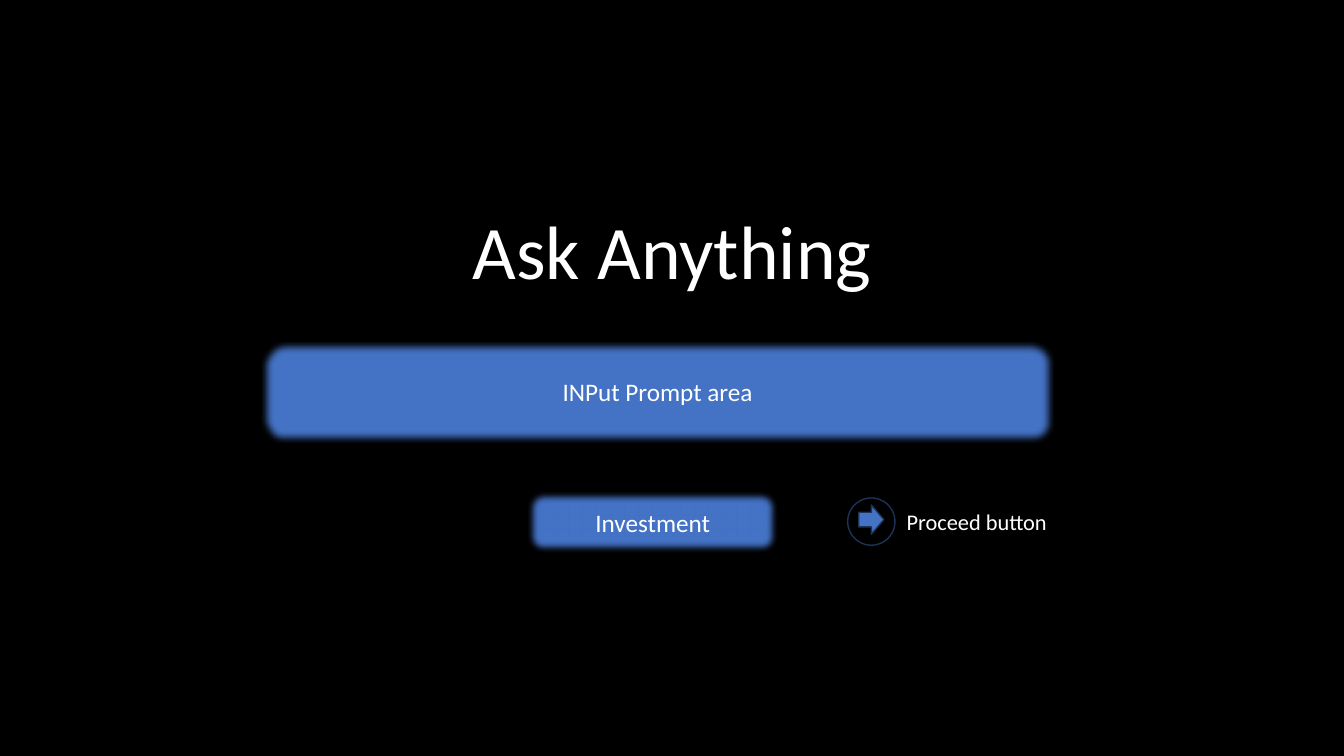
from lxml import etree
from pptx import Presentation
from pptx.dml.color import RGBColor
from pptx.enum.shapes import MSO_SHAPE
from pptx.enum.text import MSO_ANCHOR, PP_ALIGN
from pptx.oxml.ns import qn
from pptx.util import Pt

ROUND = MSO_SHAPE.ROUNDED_RECTANGLE
ARROW = MSO_SHAPE.RIGHT_ARROW
RING = MSO_SHAPE.OVAL
MIDDLE = MSO_ANCHOR.MIDDLE
CENTER = PP_ALIGN.CENTER

BLACK = RGBColor(0x00, 0x00, 0x00)
WHITE = RGBColor(0xFF, 0xFF, 0xFF)
BLUE = RGBColor(0x44, 0x72, 0xC4)
NAVY = RGBColor(0x1E, 0x32, 0x56)
FONT = "Calibri"
BLUR = Pt(5)

# Content: text, size, box (left, top, width, height)
TITLE = ("Ask Anything", 54, (329, 141.8, 302.4, 72.7))
LABEL = ("Proceed button", 16, (639.4, 359.3, 116.6, 26.6))
PANELS = [
    ("INPut Prompt area", 18, (186.5, 243.4, 566.6, 72.7)),
    ("Investment", 18, (376.6, 350.6, 179.3, 44.6)),
]
# Button parts: kind, fill, box
BUTTON = [
    (ARROW, BLUE, (613.4, 360.7, 18, 20.9)),
    (RING, None, (605.5, 355.7, 33.8, 33.8)),
]


def place(shape, box):
    shape.left, shape.top, shape.width, shape.height = map(Pt, box)


def write(shape, text, size, wrap):
    frame = shape.text_frame
    frame.text = text
    frame.word_wrap = wrap
    frame.vertical_anchor = MIDDLE
    par = frame.paragraphs[0]
    par.alignment = CENTER
    par.font.name = FONT
    par.font.size = Pt(size)
    par.font.color.rgb = WHITE


def draw(slide, kind, fill, box):
    shape = slide.shapes.add_shape(kind, *map(Pt, box))
    shape.shadow.inherit = False
    if fill is None:
        shape.fill.background()
    else:
        shape.fill.solid()
        shape.fill.fore_color.rgb = fill
    shape.line.color.rgb = NAVY
    shape.line.width = Pt(1)
    return shape


def soften(shape):
    effects = shape._element.spPr.find(qn("a:effectLst"))
    etree.SubElement(effects, qn("a:softEdge"), rad=str(BLUR))


def main():
    deck = Presentation()
    deck.slide_width, deck.slide_height = Pt(960), Pt(540)
    slide = deck.slides.add_slide(deck.slide_layouts[5])
    slide.background.fill.solid()
    slide.background.fill.fore_color.rgb = BLACK

    # Title
    text, size, box = TITLE
    place(slide.shapes.title, box)
    write(slide.shapes.title, text, size, False)

    # Soft-edged panels
    for text, size, box in PANELS:
        panel = draw(slide, ROUND, BLUE, box)
        soften(panel)
        write(panel, text, size, True)

    # Proceed button and its label
    for kind, fill, box in BUTTON:
        draw(slide, kind, fill, box)
    text, size, box = LABEL
    label = slide.shapes.add_textbox(*map(Pt, box))
    write(label, text, size, False)

    deck.save("out.pptx")


if __name__ == "__main__":
    main()
